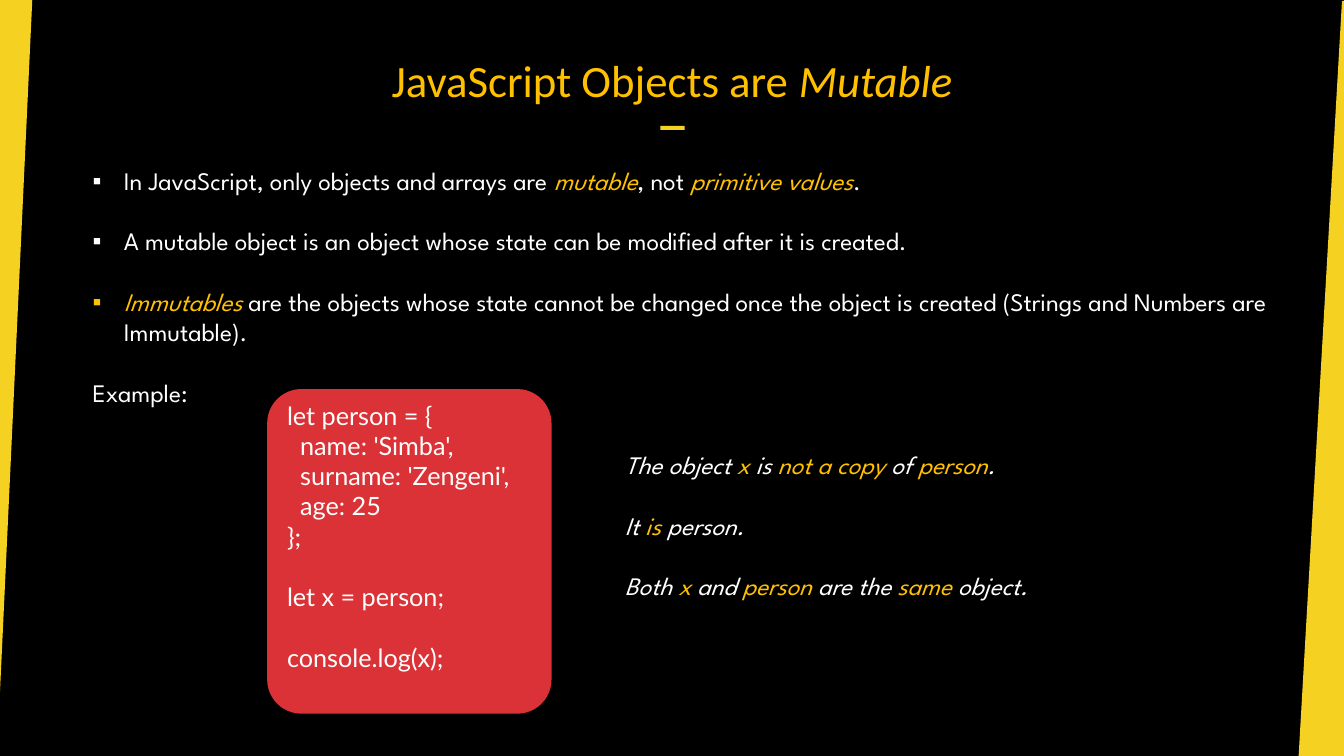
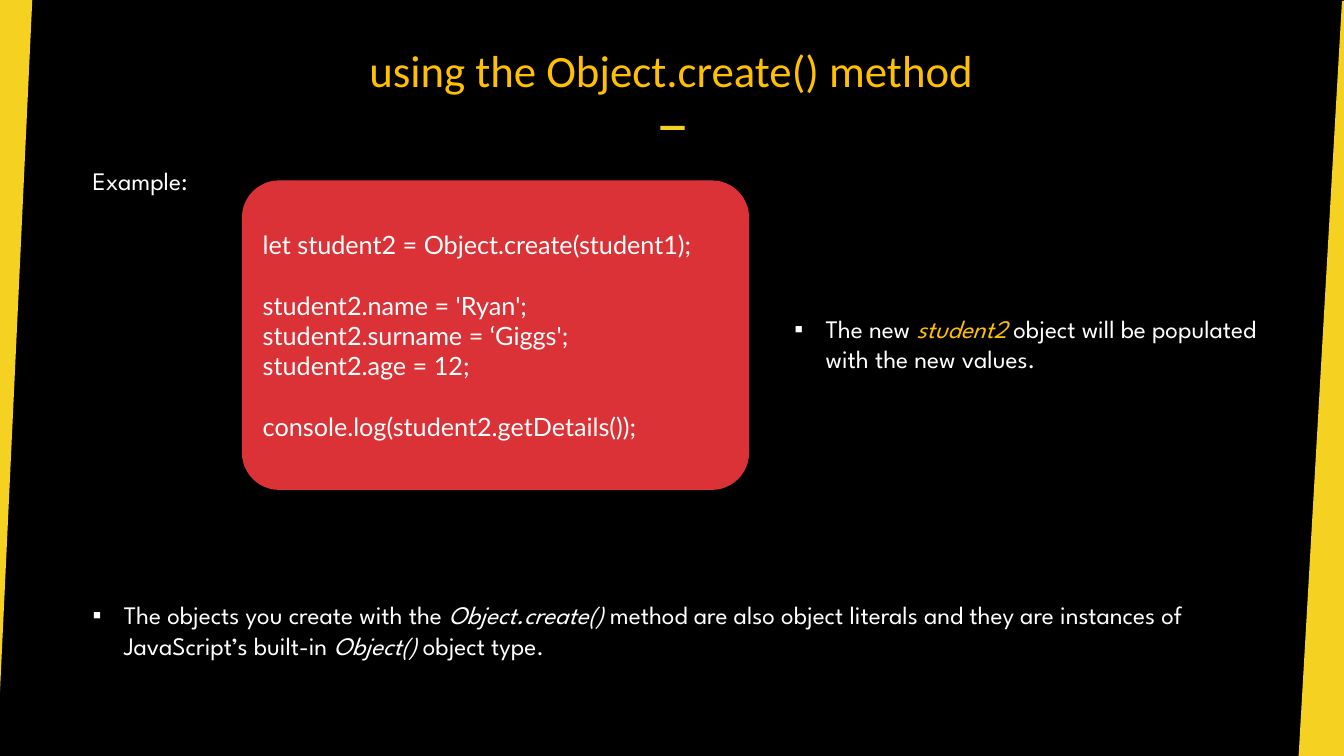
from lxml import etree
from pptx import Presentation
from pptx import util as u
from pptx.dml.color import RGBColor
from pptx.enum import shapes, text
from pptx.oxml import ns

PX = 9144  # 100 px to the inch
WIDE, HIGH = 1333, 750
BLACK, WHITE, GOLD, BAND, RED = "000000", "FFFFFF", "FFC000", "F5D121", "DA3236"

# Text styles
HEAD = {"name": "Calibri", "size": u.Pt(32), "tint": GOLD, "italic": False}
BODY = {"name": "League Spartan", "size": u.Pt(18), "tint": WHITE, "italic": False}
CODE = {**BODY, "name": "Lato"}
SLANT = {"italic": True}
MARK = {"italic": True, "tint": GOLD}

# Paragraph styles
PLAIN = {}
SKIP = {"space_before": u.Pt(21.6)}  # one line of 18 pt text
DOT = {"bullet": "▪", "indent": 31}
STEP = {"indent": 13}


def px(n):
    return u.Emu(round(n * PX))


def rgb(tint):
    return RGBColor.from_string(tint)


def paint(shape, tint):
    shape.shadow.inherit = False
    shape.fill.solid()
    shape.fill.fore_color.rgb = rgb(tint)
    shape.line.fill.background()


def style(font, look):
    for key, value in look.items():
        if key == "tint":
            font.color.rgb = rgb(value)
        else:
            setattr(font, key, value)


def layout(para, form):
    """Apply spacing, indent and bullet to a paragraph."""
    form = dict(form)
    indent, bullet = form.pop("indent", 0), form.pop("bullet", None)
    for key, value in form.items():
        setattr(para, key, value)
    if indent:
        props = para._p.get_or_add_pPr()
        props.set("marL", str(px(indent)))
        if bullet:
            props.set("indent", str(-px(indent)))
            etree.SubElement(props, ns.qn("a:buFont")).set("typeface", "Arial")
            etree.SubElement(props, ns.qn("a:buChar")).set("char", bullet)


def write(frame, lines, base, accent=MARK, **form):
    """Write (text, style) lines; words between asterisks get the accent."""
    frame.word_wrap = True
    frame.auto_size = text.MSO_AUTO_SIZE.NONE
    for i, (line, extra) in enumerate(lines):
        para = frame.paragraphs[0] if i == 0 else frame.add_paragraph()
        layout(para, {**form, **extra})
        for j, part in enumerate(line.split("*")):
            if part:
                run = para.add_run()
                run.text = part
                style(run.font, {**base, **(accent if j % 2 else {})})


def band(slide, points):
    path = slide.shapes.build_freeform(*points[0], scale=PX)
    path.add_line_segments(points[1:], close=True)
    paint(path.convert_to_shape(), BAND)


def start(deck, title, x, y, w):
    """Add a slide with side bands, title and the dash under it."""
    slide = deck.slides.add_slide(deck.slide_layouts[5])
    band(slide, [(0, 0), (32, 0), (0, 686)])
    band(slide, [(1331, 1), (WIDE, 1), (WIDE, HIGH), (1288, HIGH)])
    dash = slide.shapes.add_shape(
        shapes.MSO_SHAPE.RECTANGLE, px(655), px(125), px(24), px(4))
    paint(dash, BAND)
    head = slide.shapes.title
    head.left, head.top, head.width, head.height = map(px, (x, y, w, 75))
    frame = head.text_frame
    frame.vertical_anchor = text.MSO_ANCHOR.BOTTOM
    frame.margin_top, frame.margin_bottom = px(4), 0
    write(frame, [(title, PLAIN)], HEAD, SLANT, alignment=text.PP_ALIGN.CENTER)
    return slide


def note(slide, x, y, w, h, lines, base=BODY, accent=MARK):
    box = slide.shapes.add_textbox(px(x), px(y), px(w), px(h))
    write(box.text_frame, lines, base, accent)


def code(slide, x, y, w, h, inset, lines):
    card = slide.shapes.add_shape(
        shapes.MSO_SHAPE.ROUNDED_RECTANGLE, px(x), px(y), px(w), px(h))
    card.adjustments[0] = 0.12
    paint(card, RED)
    frame = card.text_frame
    frame.vertical_anchor = text.MSO_ANCHOR.TOP
    frame.margin_top, frame.margin_bottom = px(inset), 0
    write(frame, lines, CODE, alignment=text.PP_ALIGN.LEFT)


def mutable(deck):
    slide = start(deck, "JavaScript Objects are *Mutable*", 305, 31, 723)
    note(slide, 82, 159, 1205, 252, [
        ("In JavaScript, only objects and arrays are *mutable*, not "
         "*primitive values*.", DOT),
        ("A mutable object is an object whose state can be modified after "
         "it is created.", {**DOT, **SKIP}),
        ("*Immutables *are the objects whose state cannot be changed once the "
         "object is created (Strings and Numbers are Immutable).",
         {**DOT, **SKIP}),
        ("Example:", SKIP),
    ])
    code(slide, 265, 386, 282, 322, 1, [
        ("let person = {", PLAIN),
        ("name: 'Simba',", STEP),
        ("surname: 'Zengeni',", STEP),
        ("age: 25", STEP),
        ("};", PLAIN),
        ("let x = person;", SKIP),
        ("console.log(x);", SKIP),
    ])
    note(slide, 610, 441, 607, 162, [
        ("The object *x* is *not a copy* of *person*.", PLAIN),
        ("It *is* person.", SKIP),
        ("Both *x* and *person* are the *same* object.", SKIP),
    ], {**BODY, **SLANT})


def create(deck):
    slide = start(deck, "using the Object.create() method", 210, 21, 912)
    note(slide, 82, 159, 1171, 40, [("Example:", PLAIN)])
    code(slide, 240, 179, 503, 307, 38, [
        ("let student2 = Object.create(student1);", PLAIN),
        ("student2.name = 'Ryan';", SKIP),
        ("student2.surname = ‘Giggs';", PLAIN),
        ("student2.age = 12;", PLAIN),
        ("console.log(student2.getDetails());", SKIP),
    ])
    note(slide, 82, 590, 1171, 71, [
        ("The objects you create with the *Object.create()* method are also "
         "object literals and they are instances of JavaScript’s built-in "
         "*Object()* object type.", DOT),
    ], accent=SLANT)
    note(slide, 778, 306, 504, 71, [
        ("The new *student2 *object will be populated with the new values.",
         DOT),
    ])


def main():
    deck = Presentation()
    deck.slide_width, deck.slide_height = px(WIDE), px(HIGH)
    back = deck.slide_master.background.fill
    back.solid()
    back.fore_color.rgb = rgb(BLACK)
    mutable(deck)
    create(deck)
    deck.save("out.pptx")


if __name__ == "__main__":
    main()
